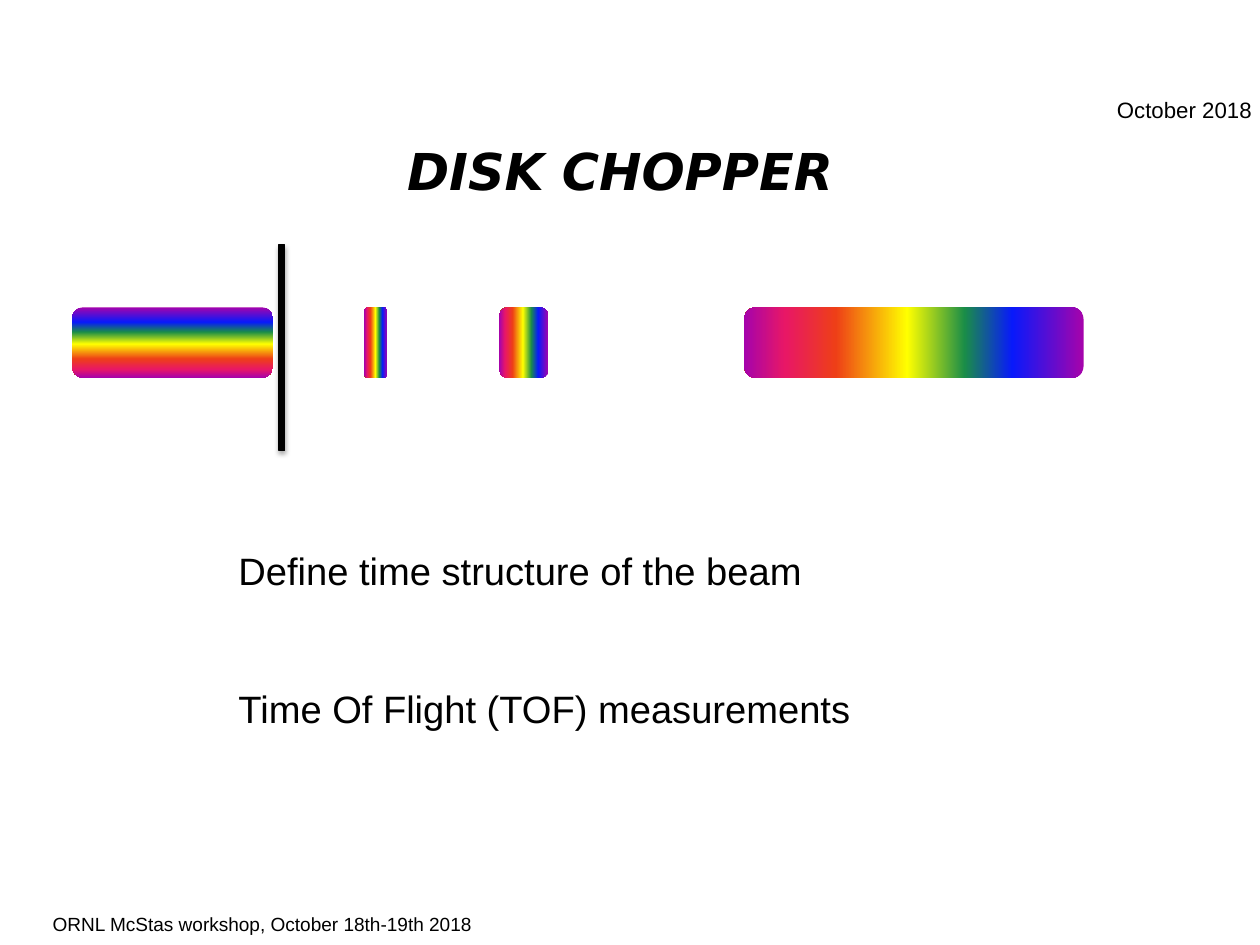
"""Build the disk chopper slide: a white beam cut into pulses that spread in time."""
from dataclasses import dataclass

from lxml.etree import SubElement
from pptx import Presentation
from pptx.dml.color import RGBColor as Rgb
from pptx.enum.shapes import MSO_SHAPE as Shape
from pptx.enum.text import MSO_ANCHOR as Anchor, PP_ALIGN as Align
from pptx.oxml.ns import qn
from pptx.util import Cm, Pt


@dataclass(frozen=True)
class Theme:
    ink: str = "000000"
    sans: str = "Arial"
    head: str = "DejaVu Sans"
    title: int = 32
    body: int = 24
    date: int = 14
    foot: int = 12
    rainbow: tuple = (
        (0, "A603AB"), (21, "0819FB"), (35, "1A8D48"), (52, "FFFF00"),
        (73, "EE3F17"), (88, "E81766"), (100, "A603AB"),
    )


theme = Theme()


def write(box, *lines, size, font=theme.sans, bold=False, slant=False,
          align=Align.LEFT, anchor=Anchor.TOP, wrap=False, inset=0.13, gap=0):
    frame = box.text_frame
    frame.word_wrap = wrap
    frame.vertical_anchor = anchor
    frame.margin_left = frame.margin_right = Cm(inset)
    frame.margin_top = frame.margin_bottom = Cm(min(inset, 0.13))
    for i, line in enumerate(lines):
        para = frame.add_paragraph() if i else frame.paragraphs[0]
        para.alignment = align
        para.space_before = Pt(gap if i else 0)
        run = para.add_run()
        run.text = line
        run.font.name = font
        run.font.size = Pt(size)
        run.font.bold = bold
        run.font.italic = slant
        run.font.color.rgb = Rgb.from_string(theme.ink)


deck = Presentation()
deck.slide_width, deck.slide_height = Cm(28), Cm(21)
slide = deck.slides.add_slide(deck.slide_layouts[5])
shapes = slide.shapes

title = shapes.title
title.left, title.top, title.width, title.height = Cm(2.62), Cm(0), Cm(22.33), Cm(4.45)
write(title, "DISK CHOPPER", size=theme.title, font=theme.head, bold=True, slant=True,
      align=Align.CENTER, anchor=Anchor.BOTTOM, wrap=True, inset=0)

foot = shapes.add_textbox(Cm(1.04), Cm(20.14), Cm(9.86), Cm(0.76))
write(foot, "ORNL McStas workshop, October 18th-19th 2018", size=theme.foot)
date = shapes.add_textbox(Cm(24.69), Cm(2), Cm(3.3), Cm(0.86))
write(date, "October 2018", size=theme.date)

for left, width, angle in ((1.6, 4.47, 270), (8.1, 0.51, 180), (11.1, 1.09, 180), (16.54, 7.54, 180)):
    pulse = shapes.add_shape(Shape.ROUNDED_RECTANGLE, Cm(left), Cm(6.83), Cm(width), Cm(1.57))
    pulse.shadow.inherit = False
    pulse.line.fill.background()
    pulse.fill.gradient()
    pulse.fill.gradient_angle = angle
    stops = pulse._element.spPr.find(qn("a:gradFill")).find(qn("a:gsLst"))
    for stop in list(stops):
        stops.remove(stop)
    for pos, color in theme.rainbow:
        stop = SubElement(stops, qn("a:gs"), pos=str(pos * 1000))
        SubElement(stop, qn("a:srgbClr"), val=color)

disk = shapes.add_shape(Shape.RECTANGLE, Cm(6.2), Cm(5.44), Cm(0.13), Cm(4.57))
disk.fill.solid()
disk.fill.fore_color.rgb = disk.line.color.rgb = Rgb.from_string(theme.ink)
disk.line.width = Pt(0.75)
disk.shadow.inherit = False
shade = SubElement(disk._element.spPr.find(qn("a:effectLst")), qn("a:outerShdw"),
                   blurRad=str(Pt(3)), dist=str(Pt(1.8)), dir="5400000", rotWithShape="0")
tint = SubElement(shade, qn("a:srgbClr"), val=theme.ink)
SubElement(tint, qn("a:alpha"), val="35000")

notes = shapes.add_textbox(Cm(5.05), Cm(12.04), Cm(14.25), Cm(4.37))
write(notes, "Define time structure of the beam", "Time Of Flight (TOF) measurements",
      size=theme.body, inset=0.25, gap=58)

deck.save("out.pptx")
